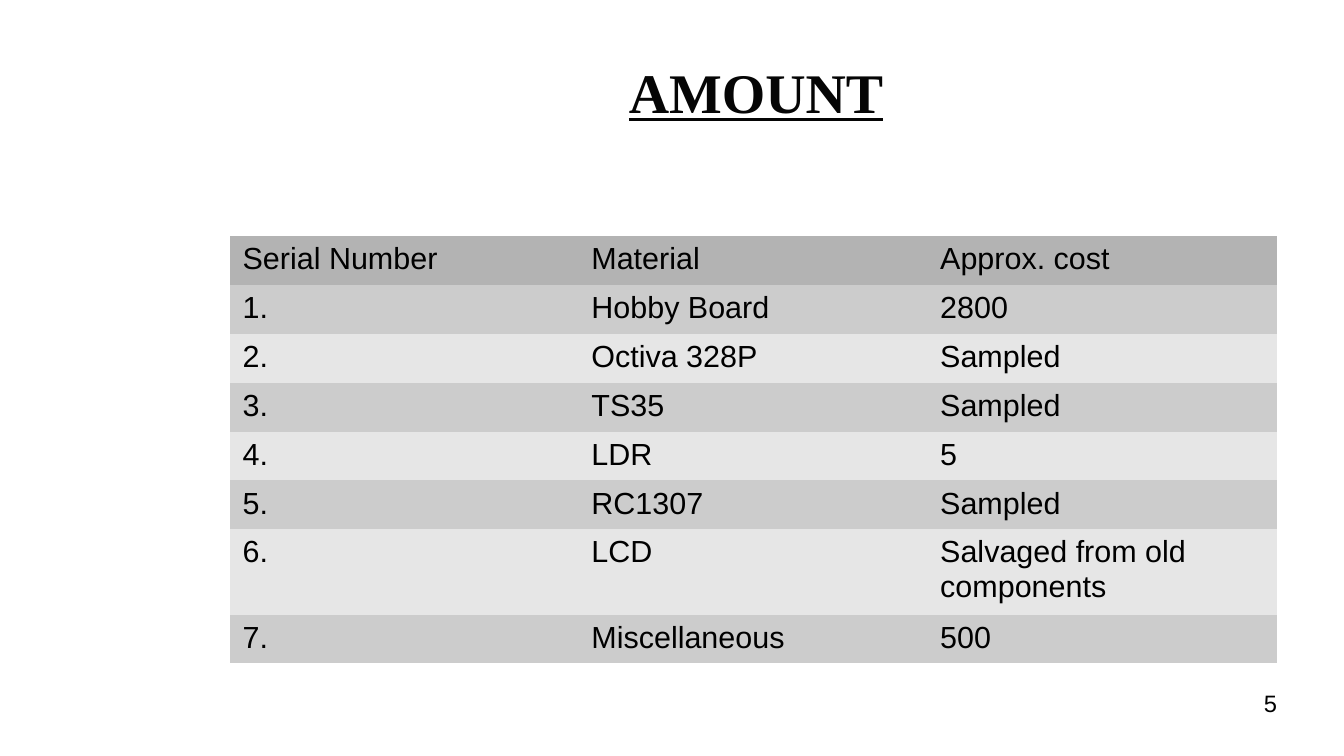
"""Builds the slide listing the project's materials and their approximate cost."""
from dataclasses import dataclass

from lxml import etree
from pptx import Presentation
from pptx.dml.color import RGBColor
from pptx.enum.text import MSO_ANCHOR, PP_ALIGN
from pptx.oxml.ns import qn
from pptx.util import Inches, Pt

CENTER, RIGHT, LEFT = PP_ALIGN.CENTER, PP_ALIGN.RIGHT, PP_ALIGN.LEFT
TOP, MIDDLE = MSO_ANCHOR.TOP, MSO_ANCHOR.MIDDLE
PLAIN_TABLE_STYLE = "{2D5ABB26-0587-4C30-8999-92F81FD0307C}"

HEADINGS = ["Serial Number", "Material", "Approx. cost"]
MATERIALS = [
    ("Hobby Board", "2800"),
    ("Octiva 328P", "Sampled"),
    ("TS35", "Sampled"),
    ("LDR", "5"),
    ("RC1307", "Sampled"),
    ("LCD", "Salvaged from old components"),
    ("Miscellaneous", "500"),
]


@dataclass(frozen=True)
class Theme:
    ink: str = "000000"
    title_ink: str = "050505"
    header_fill: str = "B3B3B3"
    band_fills: tuple = ("CCCCCC", "E6E6E6")
    title_font: str = "Times New Roman"
    body_font: str = "Arial"
    title_size: int = 33
    body_size: int = 18
    number_size: int = 14


class SlideBuilder:
    def __init__(self, deck, theme):
        self.deck = deck
        self.theme = theme
        self.page = deck.slides.add_slide(deck.slide_layouts[6])

    def across(self, percent):
        return round(self.deck.slide_width * percent / 100)

    def down(self, percent):
        return round(self.deck.slide_height * percent / 100)

    def place(self, left, top, width, height):
        return self.across(left), self.down(top), self.across(width), self.down(height)

    def add_span(self, frame, text, color, align=LEFT, **font_format):
        para = frame.paragraphs[0]
        para.alignment = align
        span = para.add_run()
        span.text = text
        span.font.color.rgb = RGBColor.from_string(color)
        for name, value in font_format.items():
            setattr(span.font, name, value)

    def add_text(self, area, text, color, anchor=TOP, **style):
        frame = self.page.shapes.add_textbox(*self.place(*area)).text_frame
        layout = dict(word_wrap=True, vertical_anchor=anchor, margin_left=0,
                      margin_right=0, margin_top=0, margin_bottom=0)
        for name, value in layout.items():
            setattr(frame, name, value)
        self.add_span(frame, text, color, **style)

    def add_table(self, left, top, width, row_heights, rows):
        area = self.place(left, top, width, sum(row_heights))
        table = self.page.shapes.add_table(len(rows), len(rows[0]), *area).table
        table.horz_banding = False
        properties = table._tbl.tblPr
        style = properties.find(qn("a:tableStyleId"))
        if style is None:
            style = etree.SubElement(properties, qn("a:tableStyleId"))
        style.text = PLAIN_TABLE_STYLE
        for index, (height, values) in enumerate(zip(row_heights, rows)):
            table.rows[index].height = self.down(height)
            fill = self.theme.band_fills[(index - 1) % 2] if index else self.theme.header_fill
            for cell, value in zip(table.rows[index].cells, values):
                cell.fill.solid()
                cell.fill.fore_color.rgb = RGBColor.from_string(fill)
                self.add_span(cell.text_frame, value, self.theme.ink, bold=False,
                              name=self.theme.body_font, size=Pt(self.theme.body_size))


def main():
    deck = Presentation()
    deck.slide_width, deck.slide_height = Inches(11.02), Inches(6.2)
    theme = Theme()
    builder = SlideBuilder(deck, theme)

    builder.add_text((16.06, 3.87, 80.4, 16.45), "AMOUNT", theme.title_ink, anchor=MIDDLE,
                     align=CENTER, name=theme.title_font, size=Pt(theme.title_size),
                     bold=True, underline=True)

    rows = [HEADINGS] + [(f"{number}.", *material)
                         for number, material in enumerate(MATERIALS, 1)]
    row_heights = [10.7 if "components" in row[-1] else 6.16 for row in rows]
    builder.add_table(17.15, 31.25, 77.86, row_heights, rows)

    builder.add_text((71.69, 91.13, 23.32, 6.94), "5", theme.ink, align=RIGHT,
                     name=theme.body_font, size=Pt(theme.number_size))
    deck.save("out.pptx")


if __name__ == "__main__":
    main()
